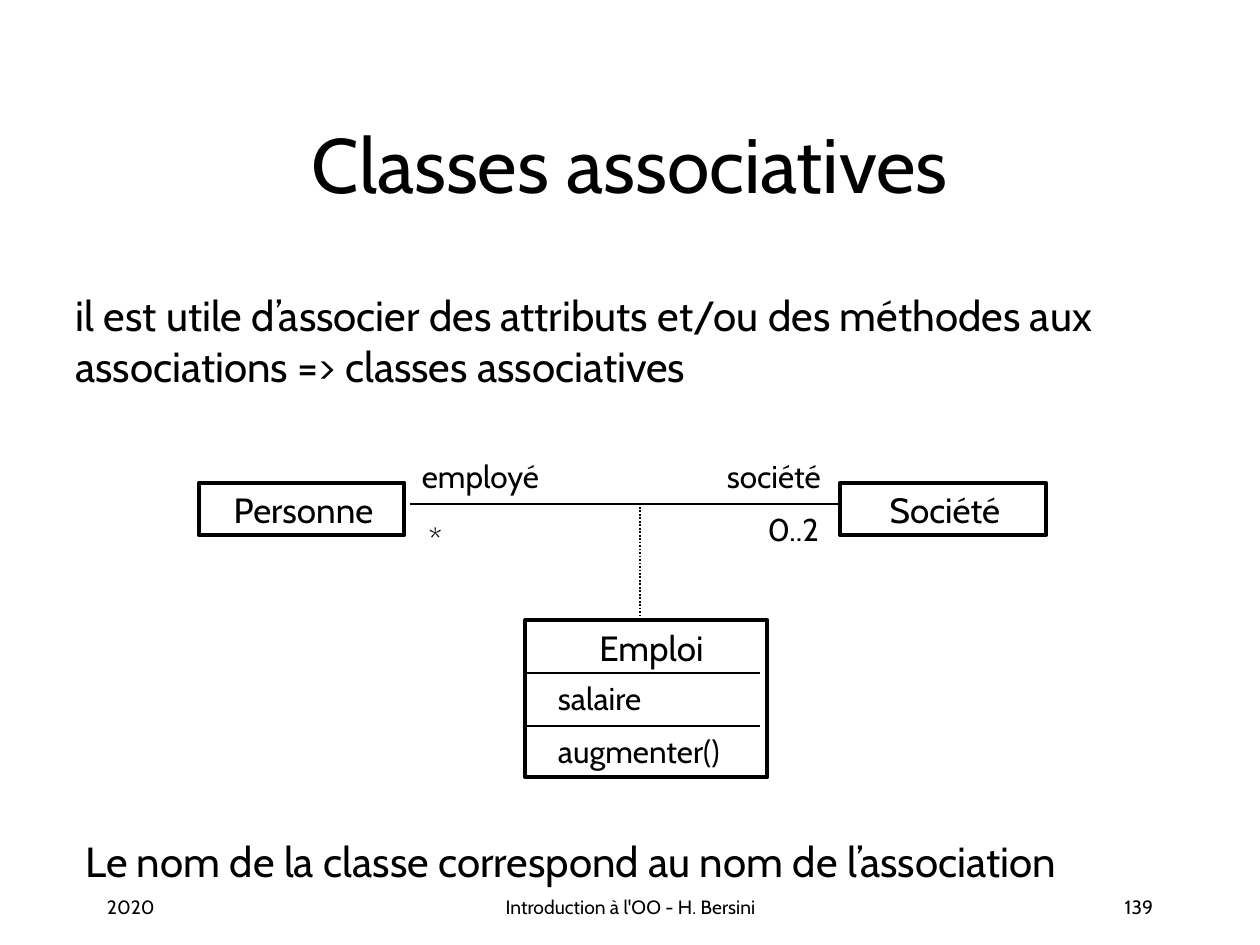
from lxml import etree
from pptx import Presentation
from pptx.dml.color import RGBColor
from pptx.enum import dml, shapes, text
from pptx.oxml import ns
from pptx.util import Inches, Pt

BLACK = RGBColor(0, 0, 0)
WHITE = RGBColor(255, 255, 255)
FONT = "Cabin"
LEFT, CENTER, RIGHT = text.PP_ALIGN.LEFT, text.PP_ALIGN.CENTER, text.PP_ALIGN.RIGHT


def write(frame, wording, size, align):
    frame.word_wrap = True
    frame.text = wording
    paragraph = frame.paragraphs[0]
    paragraph.alignment = align
    font = paragraph.runs[0].font
    font.name, font.size, font.color.rgb = FONT, Pt(size), BLACK


def add_title(slide, wording):
    title = slide.shapes.title
    title.left, title.top = Inches(0.75), Inches(0.67)
    title.width, title.height = Inches(8.5), Inches(1.25)
    title.text_frame.vertical_anchor = text.MSO_ANCHOR.MIDDLE
    write(title.text_frame, wording, 44, CENTER)


def add_label(slide, wording, left, top, width, height=0.4, size=18, align=LEFT):
    label = slide.shapes.add_textbox(
        Inches(left), Inches(top), Inches(width), Inches(height))
    write(label.text_frame, wording, size, align)


def add_frame(slide, left, top, width, height):
    frame = slide.shapes.add_shape(
        shapes.MSO_SHAPE.RECTANGLE,
        Inches(left), Inches(top), Inches(width), Inches(height))
    frame.shadow.inherit = False
    frame.fill.background()
    frame.line.color.rgb = BLACK
    frame.line.width = Pt(2.25)


def add_line(slide, x1, y1, x2, y2, dash=None):
    line = slide.shapes.add_connector(
        shapes.MSO_CONNECTOR.STRAIGHT,
        Inches(x1), Inches(y1), Inches(x2), Inches(y2))
    line.line.color.rgb = BLACK
    line.line.width = Pt(1)
    if dash:
        line.line.dash_style = dash
    etree.SubElement(line._element.spPr, ns.qn("a:effectLst"))


def add_simple_class(slide, name, left):
    add_frame(slide, left, 3.83, 1.63, 0.42)
    add_label(slide, name, left + 0.08, 3.83, 1.5, 0.43, 20, CENTER)


def add_association_class(slide, name, members):
    left, top, row = 4.17, 4.92, 0.42
    add_frame(slide, left, top, 1.92, 1.25)
    add_label(slide, name, left + 0.25, top, 1.5, 0.43, 20, CENTER)
    for index, member in enumerate(members, start=1):
        y = top + index * row
        add_line(slide, left, y, left + 1.86, y)
        add_label(slide, member, left + 0.16, y, 1.75)


def main():
    deck = Presentation()
    deck.slide_width, deck.slide_height = Inches(10), Inches(7.5)
    slide = deck.slides.add_slide(deck.slide_layouts[5])
    slide.background.fill.solid()
    slide.background.fill.fore_color.rgb = WHITE

    # Title and explanations
    add_title(slide, "Classes associatives")
    add_label(slide, "il est utile d’associer des attributs et/ou des méthodes "
              "aux associations => classes associatives",
              0.5, 2.25, 9.25, 0.91, 24)
    add_label(slide, "Le nom de la classe correspond au nom de l’association",
              0.58, 6.58, 9.25, 0.5, 24)

    # Associated classes, with roles and multiplicities
    add_simple_class(slide, "Personne", 1.58)
    add_simple_class(slide, "Société", 6.67)
    add_line(slide, 3.25, 4, 6.67, 4)
    add_label(slide, "employé", 3.25, 3.58, 1.33)
    add_label(slide, "société", 5.67, 3.58, 1.33)
    add_label(slide, "*", 3.08, 4.08, 0.75, align=CENTER)
    add_label(slide, "0..2", 5.92, 4, 0.75, align=CENTER)

    # Association class hanging from the association
    add_line(slide, 5.08, 4.92, 5.08, 4, dml.MSO_LINE.ROUND_DOT)
    add_association_class(slide, "Emploi", ["salaire", "augmenter()"])

    # Footer
    for wording, left, width, align in (
            ("2020", 0.75, 2.08, LEFT),
            ("Introduction à l'OO - H. Bersini", 3.42, 3.17, CENTER),
            ("139", 7.17, 2.08, RIGHT)):
        add_label(slide, wording, left, 7.06, width, 0.28, 11, align)

    deck.save("out.pptx")


if __name__ == "__main__":
    main()
